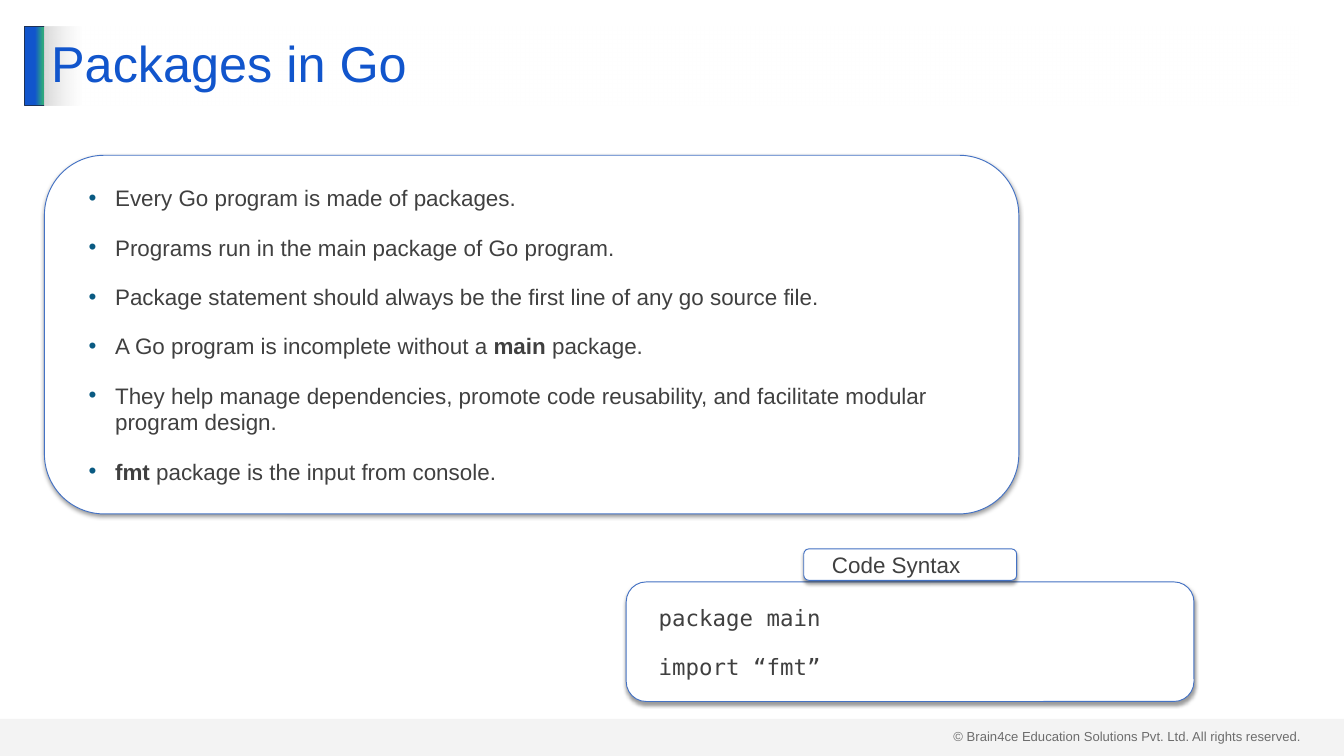
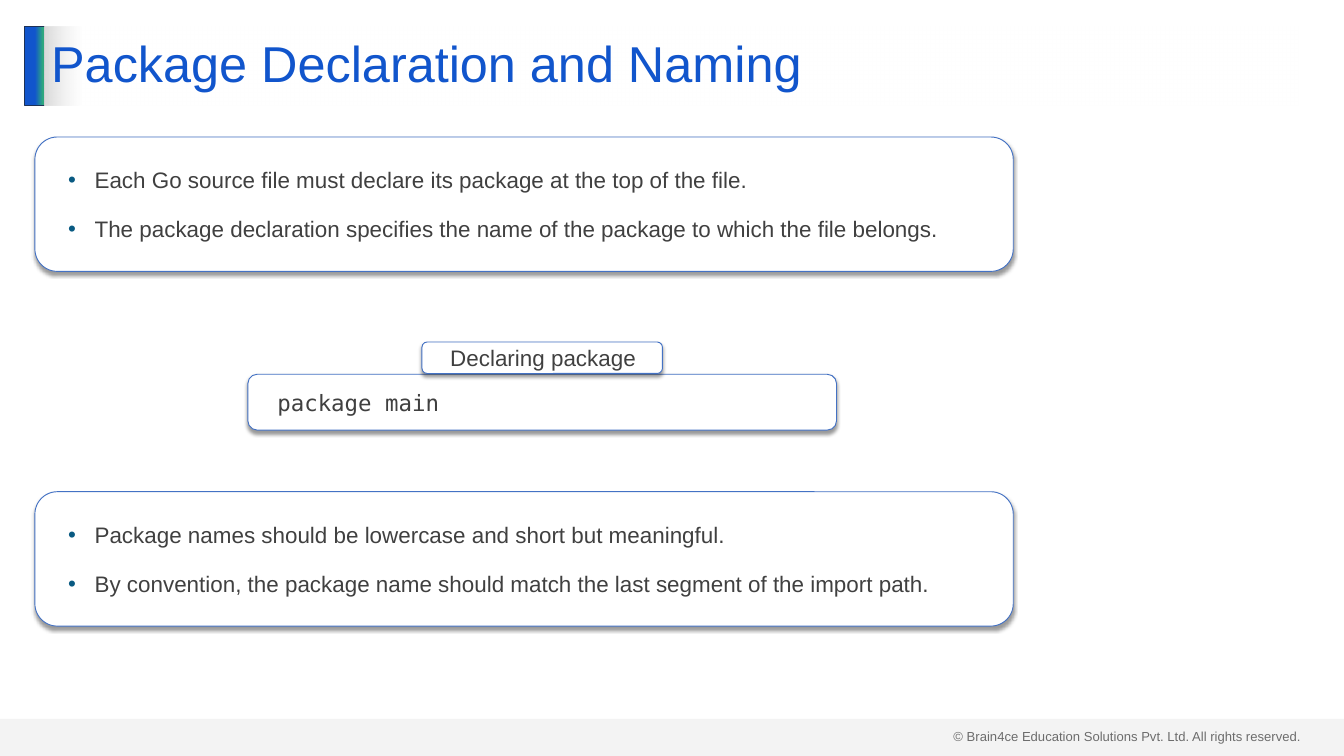
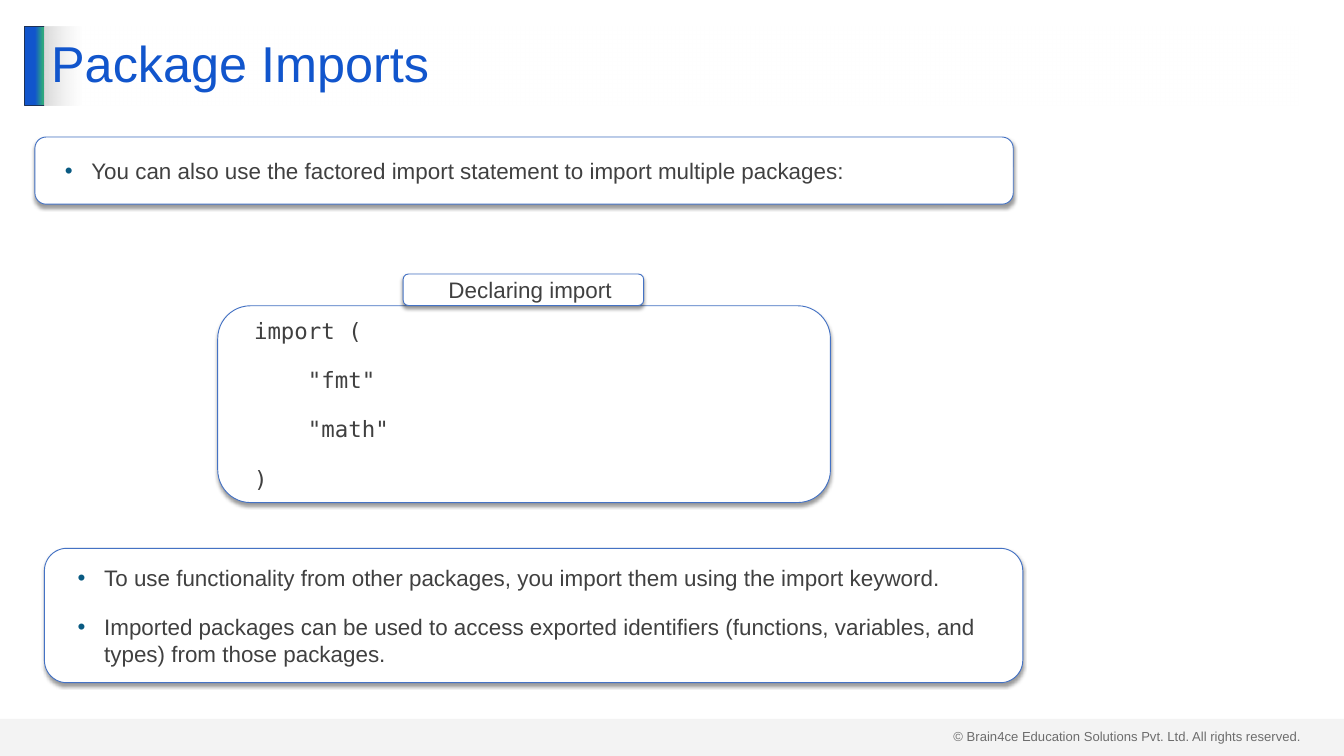
import pptx
import pptx.dml.color
import pptx.enum.shapes
import pptx.enum.text
import pptx.oxml
import pptx.oxml.ns
import pptx.util

Cm = pptx.util.Cm
Pt = pptx.util.Pt
rgb = pptx.dml.color.RGBColor.from_string
qn = pptx.oxml.ns.qn
FORM = pptx.enum.shapes.MSO_SHAPE
ALIGN = pptx.enum.text.PP_ALIGN
MID = pptx.enum.text.MSO_ANCHOR.MIDDLE
FIT = pptx.enum.text.MSO_AUTO_SIZE

BLUE, GREEN, NAVY, EDGE = "1155CC", "2EA87D", "1E3256", "4472C4"
GREY, INK, DOT, WHITE = "D9D9D9", "404040", "095A82", "FFFFFF"
SANS, MONO = "Arial", "DejaVu Sans Mono"
NS = pptx.oxml.ns.nsdecls("a")

SHADOW = (f'<a:outerShdw {NS} blurRad="50800" dist="38100" dir="5400000" rotWithShape="0">'
          '<a:srgbClr val="000000"><a:alpha val="40000"/></a:srgbClr></a:outerShdw>')
BULLET = (f'<a:buClr {NS}><a:srgbClr val="{DOT}"/></a:buClr>',
          f'<a:buFont {NS} typeface="Arial"/>',
          f'<a:buChar {NS} char="•"/>')

# Kind, place (left, top, width, height in cm) and lines; *word* is bold
SLIDES = [
    ("Packages in Go", [
        ("list", (1.68, 5.87, 36.83, 13.56), [
            "Every Go program is made of packages.",
            "Programs run in the main package of Go program.",
            "Package statement should always be the first line of any go source file.",
            "A Go program is incomplete without a *main* package.",
            "They help manage dependencies, promote code reusability, and facilitate "
            "modular program design.",
            "*fmt* package is the input from console."]),
        ("code", (23.67, 22, 21.46, 4.52), ["package main", "import “fmt”"]),
        ("tag", (30.38, 20.75, 8.05, 1.19), ["Code Syntax"]),
    ]),
    ("Package Declaration and Naming", [
        ("list", (1.32, 5.18, 36.98, 5.08), [
            "Each Go source file must declare its package at the top of the file.",
            "The package declaration specifies the name of the package to which the "
            "file belongs."]),
        ("code", (9.37, 14.15, 22.25, 2.11), ["package main"]),
        ("tag", (15.95, 12.93, 9.09, 1.19), ["Declaring package"]),
        ("list", (1.32, 18.59, 36.98, 5.08), [
            "Package names should be lowercase and short but meaningful.",
            "By convention, the package name should match the last segment of the "
            "import path."]),
    ]),
    ("Package Imports", [
        ("list", (1.32, 5.18, 36.98, 2.54), [
            "You can also use the factored import statement to import multiple packages:"]),
        ("code", (8.23, 11.56, 23.16, 7.44),
         ["import (", '    "fmt"', '    "math"', ")"]),
        ("mid tag", (15.24, 10.36, 9.09, 1.19), ["Declaring import"]),
        ("list", (1.68, 20.73, 36.98, 5.08), [
            "To use functionality from other packages, you import them using the "
            "import keyword.",
            "Imported packages can be used to access exported identifiers (functions, "
            "variables, and types) from those packages."]),
    ]),
]


def blend(shape, stops):
    """Fill from left to right with stops of (percent, colour, opacity)."""
    shape.fill.gradient()
    shape.fill.gradient_angle = 0
    row = shape.element.spPr.find(".//" + qn("a:gsLst"))
    for stop in list(row):
        row.remove(stop)
    for pos, tone, alpha in stops:
        row.append(pptx.oxml.parse_xml(
            f'<a:gs {NS} pos="{pos * 1000}"><a:srgbClr val="{tone}">'
            f'<a:alpha val="{alpha * 1000}"/></a:srgbClr></a:gs>'))


def style(run, face, size, tone):
    run.font.name = face
    run.font.size = Pt(size)
    run.font.color.rgb = rgb(tone)


deck = pptx.Presentation()
deck.slide_width, deck.slide_height = Cm(50.8), Cm(28.58)
layout = deck.slide_layouts[5]

for num, (head, cards) in enumerate(SLIDES):
    slide = deck.slides.add_slide(layout)
    shapes = slide.shapes

    # Footer, title bar and band are drawn once and handed to the layout
    if num == 0:
        foot = shapes.add_textbox(Cm(35.79), Cm(27.43), Cm(13.74), Cm(0.86))
        frame = foot.text_frame
        frame.word_wrap = True
        frame.auto_size = FIT.SHAPE_TO_FIT_TEXT
        frame.text = "© Brain4ce Education Solutions Pvt. Ltd. All rights reserved."
        style(frame.paragraphs[0].runs[0], SANS, 14, INK)

        bar = shapes.add_shape(FORM.RECTANGLE, Cm(0.94), Cm(0.99), Cm(0.76), Cm(3))
        bar.shadow.inherit = False
        blend(bar, [(51, BLUE, 100), (90, GREEN, 100), (100, GREEN, 100)])
        bar.line.color.rgb = rgb(NAVY)
        bar.line.width = Pt(1)

        band = shapes.add_shape(FORM.RECTANGLE, 0, Cm(27.18), deck.slide_width, Cm(1.4))
        band.shadow.inherit = False
        band.fill.solid()
        band.fill.fore_color.rgb = rgb(GREY)
        band.element.spPr.find(".//" + qn("a:srgbClr")).append(
            pptx.oxml.parse_xml(f'<a:alpha {NS} val="29000"/>'))
        band.line.fill.background()

        for key, part in enumerate((foot, bar, band), 20):
            part.element.nvSpPr.cNvPr.set("id", str(key))
            layout.shapes.element.append(part.element)

    title = shapes.title
    title.left, title.top, title.width, title.height = Cm(1.68), Cm(0.99), Cm(47.42), Cm(3)
    blend(title, [(0, GREY, 100), (0, GREY, 100), (3, WHITE, 50)])
    frame = title.text_frame
    frame.text = head
    frame.auto_size = FIT.NONE
    frame.vertical_anchor = MID
    para = frame.paragraphs[0]
    para.alignment = ALIGN.LEFT
    para.line_spacing = 0.9
    style(para.runs[0], SANS, 54, BLUE)

    for kind, place, lines in cards:
        card = shapes.add_shape(FORM.ROUNDED_RECTANGLE, *map(Cm, place))
        card.fill.solid()
        card.fill.fore_color.rgb = rgb(WHITE)
        card.line.color.rgb = rgb(EDGE)
        card.line.width = Pt(1)
        card.shadow.inherit = False
        card.element.spPr.find(qn("a:effectLst")).append(pptx.oxml.parse_xml(SHADOW))

        frame = card.text_frame
        frame.word_wrap = True
        frame.vertical_anchor = MID
        frame.margin_left = frame.margin_right = Cm(0.51)
        frame.text = "\n".join(lines)
        last = len(lines) - 1
        for row, para in enumerate(frame.paragraphs):
            para.alignment = ALIGN.CENTER if kind == "mid tag" else ALIGN.LEFT
            props = para._p.get_or_add_pPr()
            props.set("marL", str(Cm(1.5 if kind == "list" else 0.5)))
            props.set("indent", str(Cm(-1 if kind == "list" else 0)))
            if kind == "list":
                for mark in BULLET:
                    props.append(pptx.oxml.parse_xml(mark))
            para.space_before = Pt(12 if row > 0 else 0)
            para.space_after = Pt(12 if row < last else 0)
            if "*" in lines[row]:
                para.clear()
                for i, piece in enumerate(lines[row].split("*")):
                    if piece:
                        run = para.add_run()
                        run.text = piece
                        run.font.bold = i % 2 == 1
            for run in para.runs:
                style(run, MONO if kind == "code" else SANS, 24, INK)

deck.save("out.pptx")
